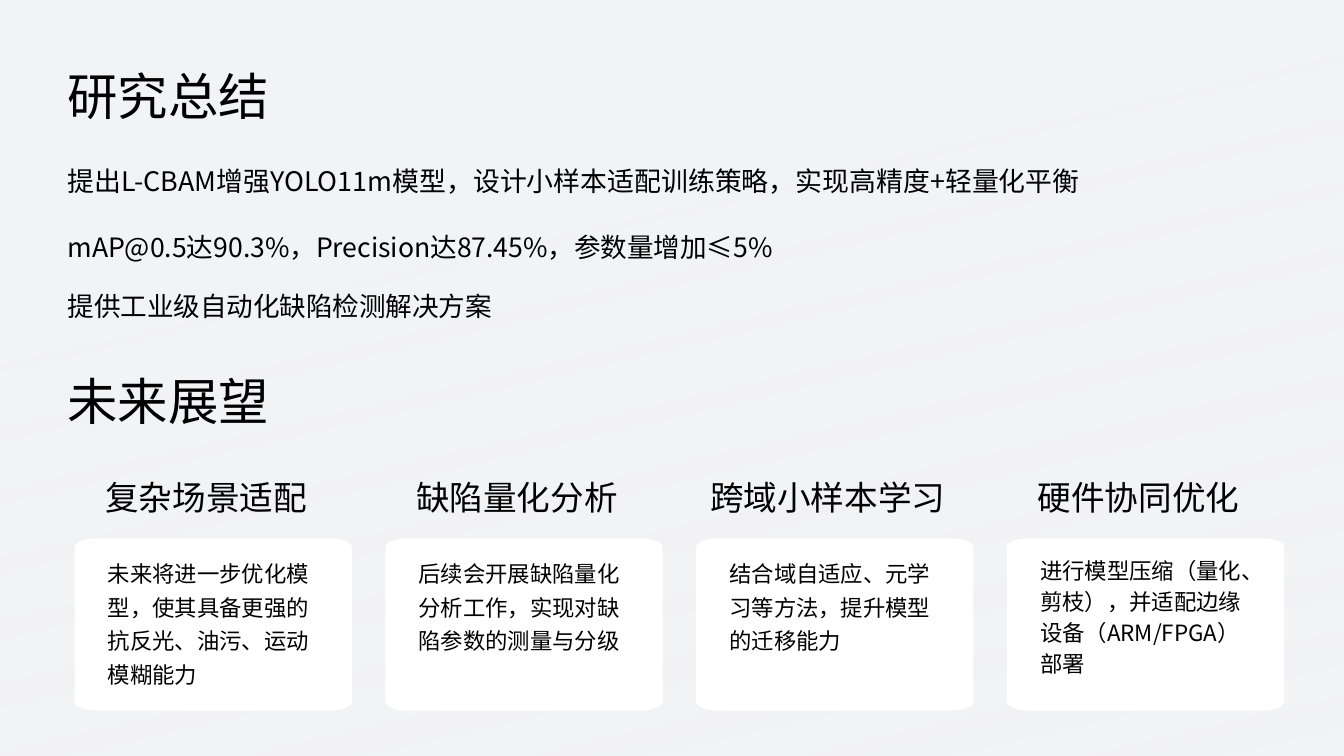
"""Build the research summary and outlook slide."""
from lxml.etree import SubElement
from pptx import Presentation
from pptx.dml.color import RGBColor
from pptx.enum.shapes import MSO_SHAPE
from pptx.enum.text import MSO_ANCHOR, MSO_AUTO_SIZE, PP_ALIGN
from pptx.oxml.ns import qn
from pptx.util import Inches, Pt

FONT = "Noto Sans CJK SC"
COLORS = {"background": "F2F3F5", "card": "FFFFFF", "text": "000000"}

TITLE = "研究总结"
SUMMARY = [
    (1.6, 19.2, "提出L-CBAM增强YOLO11m模型，设计小样本适配训练策略，实现高精度+轻量化平衡"),
    (2.26, 19, "mAP@0.5达90.3%，Precision达87.45%，参数量增加≤5%"),
    (2.84, 19, "提供工业级自动化缺陷检测解决方案"),
]
OUTLOOK = "未来展望"
CARDS = [
    ("复杂场景适配", "未来将进一步优化模型，使其具备更强的抗反光、油污、运动模糊能力", 1.25),
    ("缺陷量化分析", "后续会开展缺陷量化分析工作，实现对缺陷参数的测量与分级", 1.25),
    ("跨域小样本学习", "结合域自适应、元学习等方法，提升模型的迁移能力", 1.25),
    ("硬件协同优化", "进行模型压缩（量化、剪枝），并适配边缘设备（ARM/FPGA）部署", 1.15),
]

LEFT = 0.67
CARD_LEFT, CARD_TOP, CARD_W, CARD_H = 0.74, 5.34, 2.75, 1.71
CARD_STEP = 9.25 / 3
CORNER_W, CORNER_H, CURVE = 0.22, 0.09, 0.55
PAD_X, PAD_Y, BODY_W, BODY_H = 0.33, 0.15, 2.06, 1.38


def rgb(name):
    """Return a palette colour."""
    return RGBColor.from_string(COLORS[name])


def write(sp, box, text, size, spacing=1.11, align=PP_ALIGN.LEFT):
    """Place a text shape and fill it with one styled run."""
    sp.left, sp.top, sp.width, sp.height = map(Inches, box)
    tf = sp.text_frame
    tf.word_wrap = True
    tf.auto_size = MSO_AUTO_SIZE.NONE
    tf.vertical_anchor = MSO_ANCHOR.TOP
    tf.margin_left = tf.margin_right = tf.margin_top = tf.margin_bottom = 0
    p = tf.paragraphs[0]
    p.alignment = align
    p.line_spacing = spacing
    r = p.add_run()
    r.text = text
    r.font.size = Pt(size)
    r.font.name = FONT
    r.font.color.rgb = rgb("text")
    SubElement(r.font._element, qn("a:ea"), typeface=FONT)


def add_text(slide, box, *args, **kwargs):
    """Add a text box and write into it."""
    write(slide.shapes.add_textbox(0, 0, 0, 0), box, *args, **kwargs)


def add_backdrop(prs, slide):
    """Lay a fading full-slide rectangle behind everything."""
    sp = slide.shapes.add_shape(MSO_SHAPE.RECTANGLE, 0, 0, prs.slide_width, prs.slide_height)
    sp.shadow.inherit = False
    sp.line.fill.background()
    sp.fill.gradient()
    sp.fill.gradient_angle = 283
    for stop, position in zip(sp.fill.gradient_stops, (0.25, 1)):
        stop.position = position
        stop.color.rgb = rgb("background")
    last_color = list(sp._element.iter(qn("a:srgbClr")))[-1]
    SubElement(last_color, qn("a:alpha"), val="0")
    slide.shapes._spTree.insert(2, sp._element)


def round_corners(sp):
    """Turn every second segment of the outline into a quarter curve."""
    points = [(int(pt.get("x")), int(pt.get("y"))) for pt in sp._element.iter(qn("a:pt"))]
    lines = list(sp._element.iter(qn("a:lnTo")))
    for i in range(0, len(lines), 2):
        start, end = points[i], points[i + 1]
        corner = (start[0], end[1]) if i % 4 == 0 else (end[0], start[1])
        lines[i].tag = qn("a:cubicBezTo")
        for k, anchor in enumerate((start, end)):
            x, y = (round(a + CURVE * (c - a)) for a, c in zip(anchor, corner))
            pt = SubElement(lines[i], qn("a:pt"), x=str(x), y=str(y))
            lines[i].insert(k, pt)


def add_card(slide, x, y):
    """Draw a white card with elliptical corners."""
    x1, x2, x3, x4 = x, x + CORNER_W, x + CARD_W - CORNER_W, x + CARD_W
    y1, y2, y3, y4 = y, y + CORNER_H, y + CARD_H - CORNER_H, y + CARD_H
    outline = [(x1, y2), (x2, y1), (x3, y1), (x4, y2),
               (x4, y3), (x3, y4), (x2, y4), (x1, y3)]
    points = [(Inches(px), Inches(py)) for px, py in outline]
    builder = slide.shapes.build_freeform(*points[0])
    builder.add_line_segments(points[1:], close=True)
    sp = builder.convert_to_shape()
    round_corners(sp)
    sp.shadow.inherit = False
    sp.fill.solid()
    sp.fill.fore_color.rgb = rgb("card")
    sp.line.fill.background()


def main():
    """Assemble and save the slide."""
    prs = Presentation()
    prs.slide_width, prs.slide_height = Inches(40 / 3), Inches(7.5)
    slide = prs.slides.add_slide(prs.slide_layouts[5])
    slide.background.fill.solid()
    slide.background.fill.fore_color.rgb = rgb("background")
    add_backdrop(prs, slide)

    write(slide.shapes.title, (LEFT, 0.58, 10, 0.67), TITLE, 36)
    for top, size, text in SUMMARY:
        add_text(slide, (LEFT, top, 10.94, 0.44), text, size)
    add_text(slide, (LEFT, 3.61, 12, 0.67), OUTLOOK, 36)

    for i, (heading, body, spacing) in enumerate(CARDS):
        shift = i * CARD_STEP
        x = CARD_LEFT + shift
        add_text(slide, (LEFT + shift, 4.69, CARD_W, 0.44), heading, 24,
                 align=PP_ALIGN.CENTER)
        add_card(slide, x, CARD_TOP)
        add_text(slide, (x + PAD_X, CARD_TOP + PAD_Y, BODY_W, BODY_H), body, 16, spacing)

    prs.save("out.pptx")


if __name__ == "__main__":
    main()
